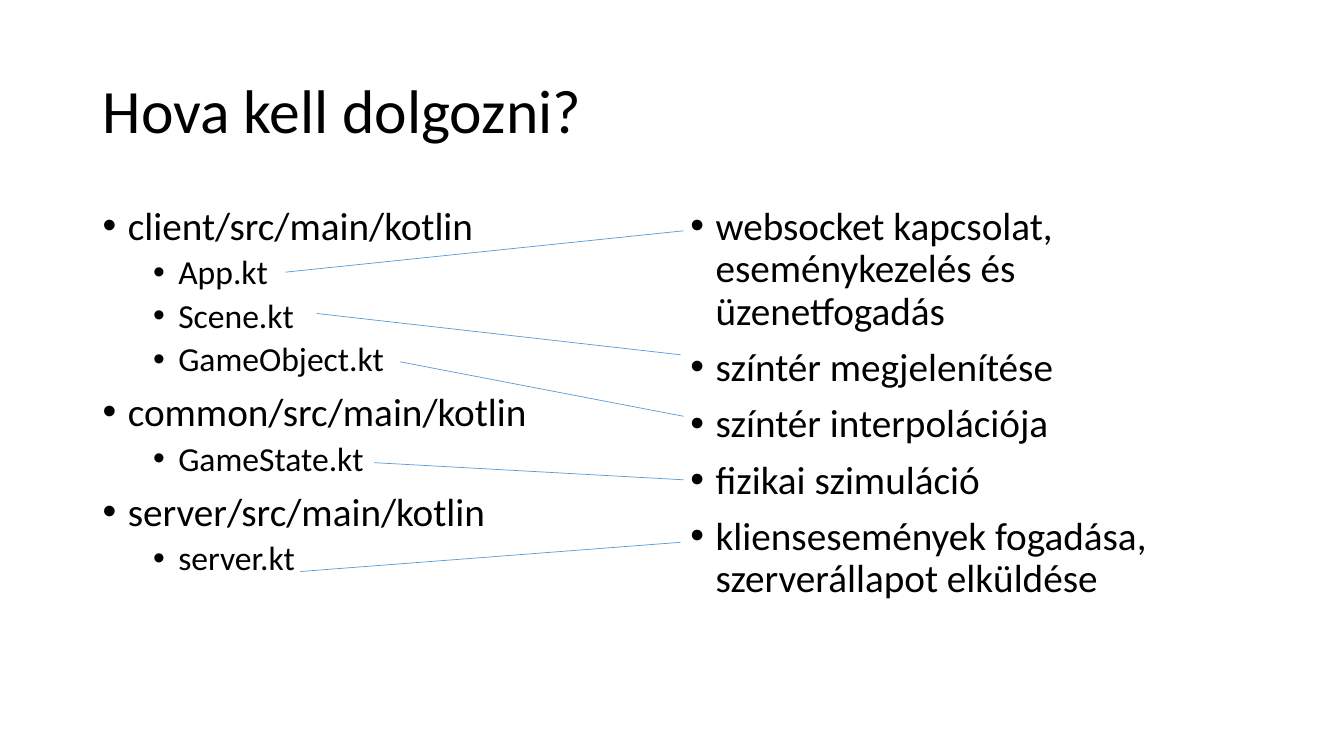
from lxml import etree
from pptx import Presentation
from pptx.dml.color import RGBColor
from pptx.enum.shapes import MSO_CONNECTOR
from pptx.enum.text import MSO_ANCHOR
from pptx.oxml.ns import qn
from pptx.util import Inches, Pt

STRAIGHT = MSO_CONNECTOR.STRAIGHT
TOP = MSO_ANCHOR.TOP
MIDDLE = MSO_ANCHOR.MIDDLE

THEME = {
    "font": "Calibri",
    "text": RGBColor(0x00, 0x00, 0x00),
    "line": RGBColor(0x5B, 0x9B, 0xD5),
    "line_width": Pt(0.5),
    "title_size": Pt(44),
    "level_sizes": [Pt(28), Pt(24)],
    "level_spacing": [Pt(10), Pt(5)],
    "level_indents": [Inches(0.25), Inches(0.75)],
    "hanging": Inches(-0.25),
}


def add_text(slide, left, top, width, height, lines, anchor):
    box = slide.shapes.add_textbox(Inches(left), Inches(top), Inches(width), Inches(height))
    frame = box.text_frame
    frame.word_wrap = True
    frame.vertical_anchor = anchor
    frame.text = "\n".join(lines)
    for paragraph in frame.paragraphs:
        paragraph.line_spacing = 0.9
        paragraph.font.name = THEME["font"]
        for run in paragraph.runs:
            run.font.name = THEME["font"]
            run.font.color.rgb = THEME["text"]
    return frame.paragraphs


def add_bullets(slide, left, items):
    lines = [text for level, text in items]
    paragraphs = add_text(slide, left, 2, 5.67, 4.76, lines, TOP)
    for paragraph, (level, text) in zip(paragraphs, items):
        paragraph.level = level
        paragraph.space_before = THEME["level_spacing"][level]
        paragraph.runs[0].font.size = THEME["level_sizes"][level]
        properties = paragraph._p.get_or_add_pPr()
        properties.set("marL", str(THEME["level_indents"][level]))
        properties.set("indent", str(THEME["hanging"]))
        bullet_font = etree.Element(qn("a:buFont"), typeface="Arial")
        bullet = etree.Element(qn("a:buChar"), char="•")
        properties.insert_element_before(bullet_font, "a:tabLst", "a:defRPr", "a:extLst")
        properties.insert_element_before(bullet, "a:tabLst", "a:defRPr", "a:extLst")


presentation = Presentation()
presentation.slide_width = Inches(13.33)
presentation.slide_height = Inches(7.5)
slide = presentation.slides.add_slide(presentation.slide_layouts[6])

title = add_text(slide, 0.92, 0.4, 11.5, 1.45, ["Hova kell dolgozni?"], MIDDLE)
title[0].runs[0].font.size = THEME["title_size"]

source_files = [
    (0, "client/src/main/kotlin"),
    (1, "App.kt"),
    (1, "Scene.kt"),
    (1, "GameObject.kt"),
    (0, "common/src/main/kotlin"),
    (1, "GameState.kt"),
    (0, "server/src/main/kotlin"),
    (1, "server.kt"),
]
tasks = [
    (0, "websocket kapcsolat, eseménykezelés és üzenetfogadás"),
    (0, "színtér megjelenítése"),
    (0, "színtér interpolációja"),
    (0, "fizikai szimuláció"),
    (0, "kliensesemények fogadása, szerverállapot elküldése"),
]
add_bullets(slide, 0.92, source_files)
add_bullets(slide, 6.75, tasks)

file_to_task_lines = [
    (2.83, 2.7, 6.78, 2.29),
    (3.14, 3.11, 6.75, 3.52),
    (3.97, 3.59, 6.78, 4.13),
    (3.71, 4.59, 6.78, 4.76),
    (2.98, 5.67, 6.75, 5.38),
]
for ends in file_to_task_lines:
    connector = slide.shapes.add_connector(STRAIGHT, *[Inches(value) for value in ends])
    connector.line.color.rgb = THEME["line"]
    connector.line.width = THEME["line_width"]
    etree.SubElement(connector._element.spPr, qn("a:effectLst"))

presentation.save("out.pptx")
